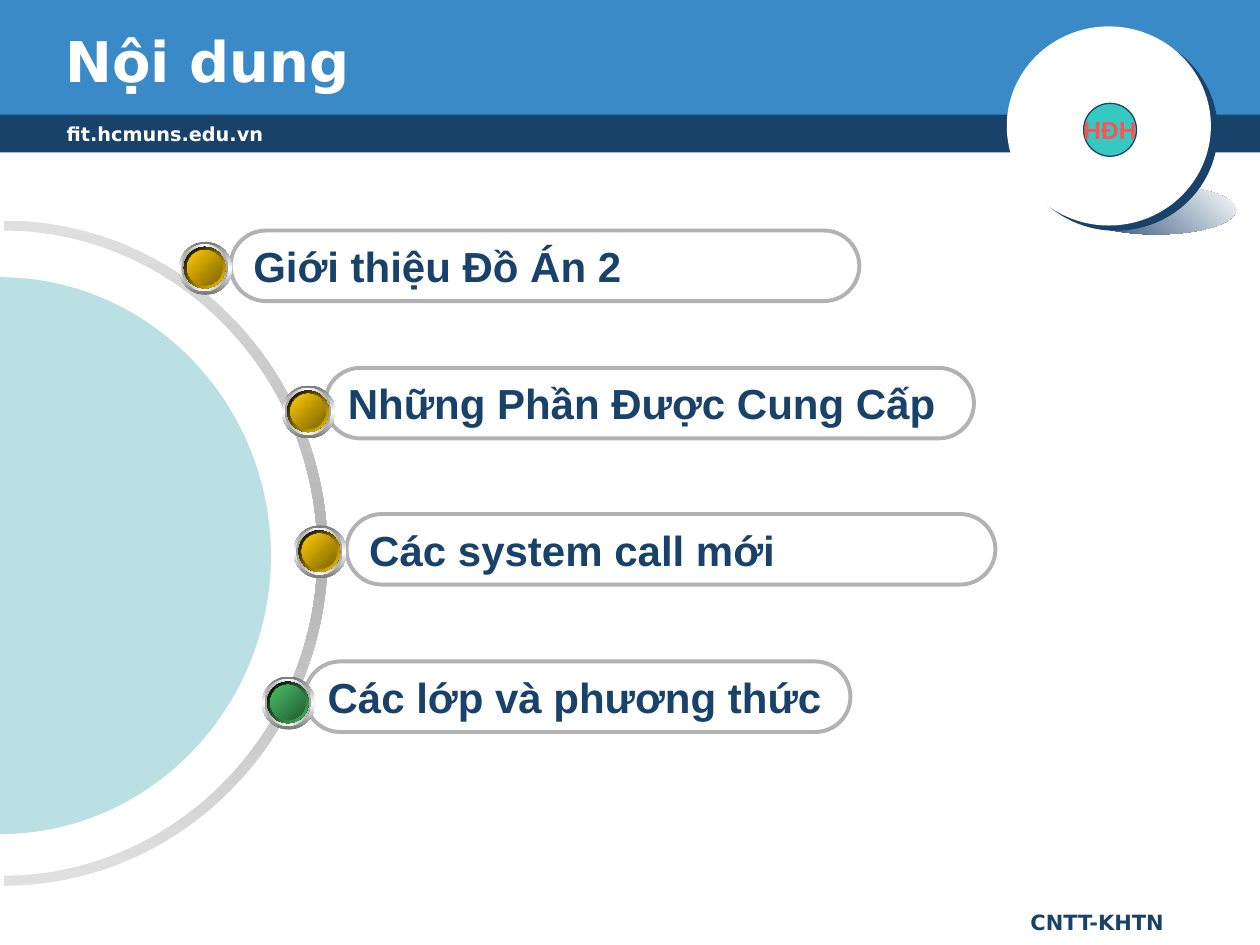
from lxml import etree
from pptx import Presentation
from pptx.dml.color import RGBColor
from pptx.enum.shapes import MSO_SHAPE
from pptx.enum.text import MSO_ANCHOR, PP_ALIGN
from pptx.oxml.ns import qn
from pptx.util import Inches, Pt

OVAL, RECT, PILL = MSO_SHAPE.OVAL, MSO_SHAPE.RECTANGLE, MSO_SHAPE.ROUNDED_RECTANGLE
TOP, MIDDLE = MSO_ANCHOR.TOP, MSO_ANCHOR.MIDDLE
LEFT, CENTER = PP_ALIGN.LEFT, PP_ALIGN.CENTER
SANS, ARIAL = "DejaVu Sans", "Arial"
BEND = 0.55  # handle length of a quarter ellipse, as a share of its radius

COLORS = {
    "navy": "19426B", "blue": "398AC7", "white": "FFFFFF", "black": "000000",
    "pale": "BBE0E3", "teal": "35C9C2", "red": "FC5252",
    "light": "E0E0E0", "gray": "B2B2B2", "steel": "A2A2A2", "dark": "767676",
    "lime": "8BBC00", "moss": "6A9000",
    "gold": "FFCC00", "bronze": "7C6300", "green": "48BE67", "forest": "235C32",
}

# Text, pill left, top and width, dot left and top, dot colours
ITEMS = [
    ("Các lớp và phương thức", 2.42, 5.25, 4.33, 2.08, 5.37, "green", "forest"),
    ("Các system call mới", 2.75, 4.08, 5.15, 2.33, 4.17, "gold", "bronze"),
    ("Giới thiệu Đồ Án 2", 1.83, 1.83, 4.99, 1.42, 1.92, "gold", "bronze"),
    ("Những Phần Được Cung Cấp", 2.58, 2.92, 5.15, 2.24, 3.06, "gold", "bronze"),
]


def color(name):
    return RGBColor.from_string(COLORS[name])


def paint(shape, fill=None, line=None, width=0.75):
    """Fill is a colour name, None, or (angle, name, name, ...)."""
    shape.shadow.inherit = False
    if fill is None:
        shape.fill.background()
    elif isinstance(fill, tuple):
        blend(shape, *fill)
    else:
        shape.fill.solid()
        shape.fill.fore_color.rgb = color(fill)
    if line:
        shape.line.color.rgb = color(line)
        shape.line.width = Pt(width)
    else:
        shape.line.fill.background()


def blend(shape, angle, *names):
    """Linear gradient with evenly spaced stops, angle clockwise."""
    shape.fill.gradient()
    shape.fill.gradient_angle = (360 - angle) % 360
    stops = shape._element.spPr.find(qn("a:gradFill")).find(qn("a:gsLst"))
    for old in list(stops):
        stops.remove(old)
    for i, name in enumerate(names):
        pos = str(100000 * i // (len(names) - 1))
        stop = etree.SubElement(stops, qn("a:gs"), pos=pos)
        etree.SubElement(stop, qn("a:srgbClr"), val=COLORS[name])


def add_shape(shapes, kind, x, y, w, h, *look):
    shape = shapes.add_shape(kind, Inches(x), Inches(y), Inches(w), Inches(h))
    paint(shape, *look)
    return shape


def write(shape, text, size, font, ink, anchor=MIDDLE, align=LEFT, wrap=False):
    frame = shape.text_frame
    frame.text = text
    frame.word_wrap = wrap
    frame.vertical_anchor = anchor
    para = frame.paragraphs[0]
    para.alignment = align
    face = para.runs[0].font
    face.name, face.size, face.bold = font, Pt(size), True
    face.color.rgb = color(ink)


def add_shadow(shape, name, dist, angle):
    effects = shape._element.spPr.find(qn("a:effectLst"))
    shadow = etree.SubElement(effects, qn("a:outerShdw"), dist=str(Pt(dist)),
                              dir=str(angle * 60000), algn="ctr", rotWithShape="0")
    etree.SubElement(shadow, qn("a:srgbClr"), val=COLORS[name])


def arc(x, y, rx, ry):
    """Right half of an ellipse: a start and two curves of three points."""
    steps = [(0, -1), (BEND, -1), (1, -BEND), (1, 0), (1, BEND), (BEND, 1), (0, 1)]
    return [(Inches(x + rx * u), Inches(y + ry * v)) for u, v in steps]


def add_curve(shapes, fill, *arcs):
    """Closed outline through the arcs, with straight lines between them."""
    points = sum(arcs, [])
    build = shapes.build_freeform(*points[0])
    build.add_line_segments(points[1:], close=True)
    shape = build.convert_to_shape()
    paint(shape, fill)
    route = shape._element.spPr.find(".//" + qn("a:path"))
    nodes = list(route)[:len(points)]
    for start in range(0, len(nodes), 7):
        for first in (start + 1, start + 4):
            curve = etree.Element(qn("a:cubicBezTo"))
            nodes[first].addprevious(curve)
            for node in nodes[first:first + 3]:
                curve.append(node[0])
                route.remove(node)


def add_dot(shapes, x, y, bright, deep):
    group = shapes.add_group_shape().shapes
    layers = [
        (0.42, (90, "dark", "white", "dark")),
        (0.37, (0, "steel", "white", "steel")),
        (0.33, (45, "white", "lime", "white")),
        (0.33, (45, "black", bright)),
        (0.28, (315, "moss", "lime", "moss")),
        (0.28, (45, bright, deep)),
    ]
    for size, fill in layers:
        gap = (0.41 - size) / 2
        add_shape(group, OVAL, x + max(gap, 0), y + max(gap, 0), size, size, fill)


def add_item(shapes, text, x, y, w, dot_x, dot_y, bright, deep):
    pill = add_shape(shapes, PILL, x, y, w, 0.56, None, "gray", 2.25)
    pill.adjustments[0] = 0.5
    write(pill, text, 24, ARIAL, "navy")
    add_dot(shapes, dot_x, dot_y, bright, deep)


def add_header(shapes):
    add_shape(shapes, RECT, 0, 0.87, 10, 0.34, "navy")
    add_shape(shapes, RECT, 0, 0, 10, 0.91, "blue")
    # Round badge with its cast shadow
    badge = shapes.add_group_shape().shapes
    add_shape(badge, OVAL, 8.54, 1.47, 1.27, 0.39, (315, "navy", "white"))
    disc = add_shape(badge, OVAL, 7.99, 0.21, 1.62, 1.58, "white")
    add_shadow(disc, "navy", 5, 37)
    add_shape(badge, OVAL, 8.53, 0.76, 0.57, 0.54, "white")
    # Title
    title = shapes.add_textbox(Inches(0.42), Inches(0.17), Inches(8.08), Inches(0.62))
    write(title, "Nội dung", 32, SANS, "white", wrap=True)


def add_labels(shapes):
    site = add_shape(shapes, RECT, 0.43, 0.92, 2.08, 0.28, "navy")
    write(site, "fit.hcmuns.edu.vn", 11, SANS, "white", TOP, wrap=True)
    foot = add_shape(shapes, RECT, 8.08, 7.17, 1.33, 0.3, "white")
    write(foot, "CNTT-KHTN", 12, SANS, "navy", TOP, wrap=True)
    mark = add_shape(shapes, OVAL, 8.6, 0.82, 0.42, 0.42, "teal", "navy")
    write(mark, "HĐH", 14, ARIAL, "red", align=CENTER)


def main():
    deck = Presentation()
    deck.slide_width, deck.slide_height = Inches(10), Inches(7.5)
    shapes = deck.slides.add_slide(deck.slide_layouts[6]).shapes

    add_header(shapes)

    # Half ring and half disc
    outer, inner = arc(0.03, 4.39, 2.57, 2.64), arc(0.03, 4.39, 2.49, 2.56)
    add_curve(shapes, (90, "light", "gray", "light"), outer, inner[::-1])
    add_curve(shapes, "pale", arc(0, 4.41, 2.15, 2.21))

    # Site address, footer and mark, then the contents
    add_labels(shapes)
    for item in ITEMS:
        add_item(shapes, *item)

    deck.save("out.pptx")


if __name__ == "__main__":
    main()
